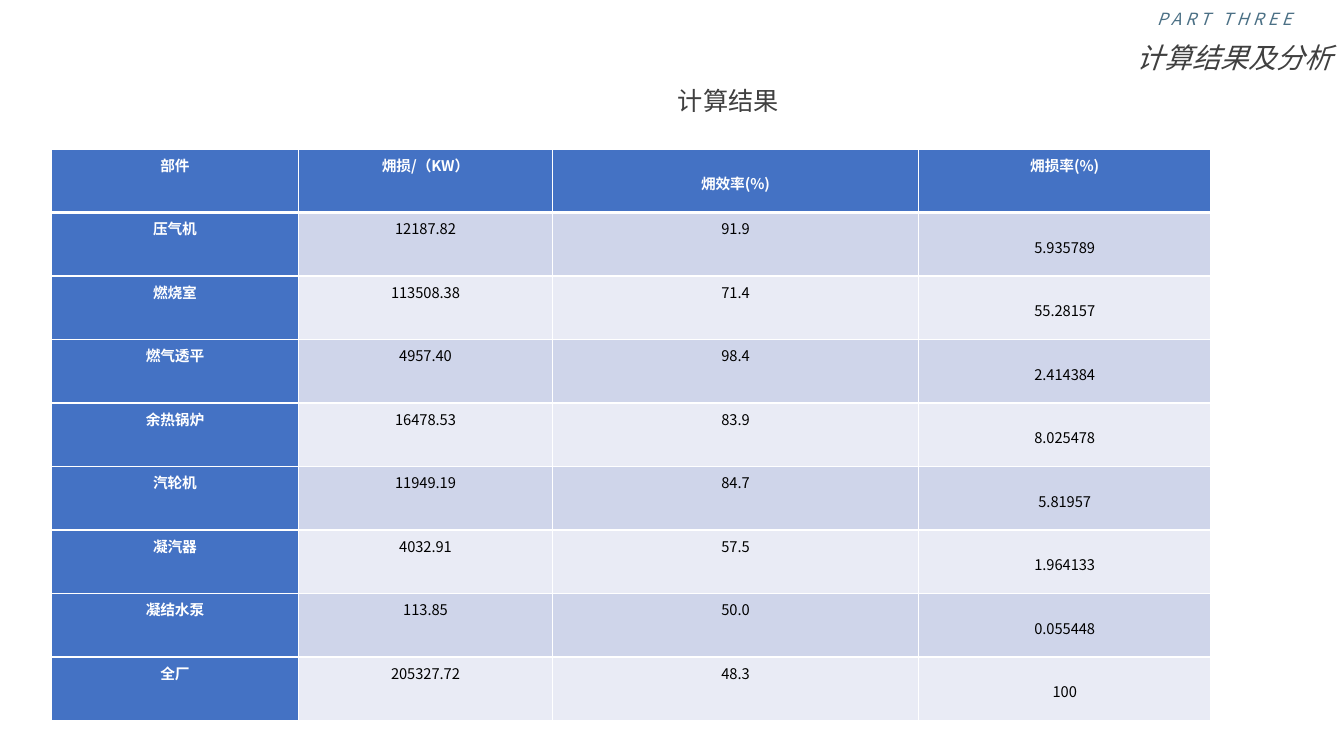
"""Build the slide of exergy calculation results."""
from lxml.etree import SubElement
from pptx import Presentation
from pptx.dml.color import RGBColor
from pptx.enum.text import MSO_ANCHOR as Anchor, MSO_AUTO_SIZE as AutoSize, PP_ALIGN as Align
from pptx.oxml.ns import qn
from pptx.util import Inches, Pt

WIDTH, HEIGHT = Inches(13.33), Inches(7.5)
FONT = "Noto Sans CJK SC"
COLORS = {
    "heading": "404040",
    "part": "4B7085",
    "white": "FFFFFF",
    "black": "000000",
    "header": "4472C4",
    "odd_row": "CFD5EA",
    "even_row": "E9EBF5",
}
COLUMN_INCHES = (2.45, 2.52, 3.63, 2.9)
ROW_INCHES = 0.63
RESULTS = (
    ("部件", "㶲损/（KW）", "㶲效率(%)", "㶲损率(%)"),
    ("压气机", "12187.82", "91.9", "5.935789"),
    ("燃烧室", "113508.38", "71.4", "55.28157"),
    ("燃气透平", "4957.40", "98.4", "2.414384"),
    ("余热锅炉", "16478.53", "83.9", "8.025478"),
    ("汽轮机", "11949.19", "84.7", "5.81957"),
    ("凝汽器", "4032.91", "57.5", "1.964133"),
    ("凝结水泵", "113.85", "50.0", "0.055448"),
    ("全厂", "205327.72", "48.3", "100"),
)


def color(name):
    """Return the named colour."""
    return RGBColor.from_string(COLORS[name])


def write(text_frame, text, size, color_name, bold=False, italic=False, line_spacing=None, tracking=0):
    """Write one centred paragraph in the slide's font."""
    text_frame.text = text
    paragraph = text_frame.paragraphs[0]
    paragraph.alignment = Align.CENTER
    paragraph.line_spacing = line_spacing
    font = paragraph.font
    font.name, font.size = FONT, Pt(size)
    font.bold, font.italic = bold, italic
    font.color.rgb = color(color_name)
    SubElement(font._element, qn("a:ea")).set("typeface", FONT)
    if tracking:
        font._element.set("spc", str(tracking * 100))


def place(shape, left, top, width, height):
    """Place a text shape by shares of the slide's size."""
    shape.left, shape.top = int(WIDTH * left), int(HEIGHT * top)
    shape.width, shape.height = int(WIDTH * width), int(HEIGHT * height)
    text_frame = shape.text_frame
    text_frame.word_wrap = True
    text_frame.auto_size = AutoSize.NONE
    text_frame.vertical_anchor = Anchor.TOP
    return text_frame


def add_label(slide, area, text, size, color_name, **style):
    """Add a text box on the given area."""
    text_frame = place(slide.shapes.add_textbox(0, 0, 0, 0), *area)
    write(text_frame, text, size, color_name, **style)


def add_borders(cell, widths):
    """Draw white borders of the given point widths by side."""
    properties = cell._tc.get_or_add_tcPr()
    for side, points in widths.items():
        line = SubElement(properties, qn(f"a:ln{side}"), w=str(Pt(points)))
        fill = SubElement(line, qn("a:solidFill"))
        SubElement(fill, qn("a:srgbClr"), val=COLORS["white"])


def format_cell(cell, text, row, column):
    """Fill one table cell by its place in the grid."""
    is_heading = row == 0 or column == 0
    cell.margin_left = cell.margin_right = Inches(0.07)
    cell.margin_top = cell.margin_bottom = 0
    is_middle = column == (2 if row == 0 else 3)
    cell.vertical_anchor = Anchor.MIDDLE if is_middle else Anchor.TOP
    add_borders(cell, {"L": 1, "R": 1, "T": 3 if row == 1 else 1, "B": 3 if row == 0 else 1})
    cell.fill.solid()
    band = "odd_row" if row % 2 else "even_row"
    cell.fill.fore_color.rgb = color("header" if is_heading else band)
    write(cell.text_frame, text, 10.5, "white" if is_heading else "black",
          bold=is_heading, line_spacing=1.25)


def add_results_table(slide, left, top):
    """Add the results table at shares of the slide's size."""
    frame = slide.shapes.add_table(
        len(RESULTS), len(COLUMN_INCHES), int(WIDTH * left), int(HEIGHT * top),
        Inches(sum(COLUMN_INCHES)), Inches(ROW_INCHES * len(RESULTS)))
    table = frame.table
    table.first_col = True
    for column, inches in zip(table.columns, COLUMN_INCHES):
        column.width = Inches(inches)
    for row, values in enumerate(RESULTS):
        table.rows[row].height = Inches(ROW_INCHES)
        for column, text in enumerate(values):
            format_cell(table.cell(row, column), text, row, column)


def main():
    """Build and save the presentation."""
    presentation = Presentation()
    presentation.slide_width, presentation.slide_height = WIDTH, HEIGHT
    slide = presentation.slides.add_slide(presentation.slide_layouts[5])
    title_frame = place(slide.shapes.title, 0.8365, 0.047, 0.1643, 0.059)
    write(title_frame, "计算结果及分析", 20, "heading", italic=True)
    add_label(slide, (0.253, 0.095, 0.578, 0.061), "计算结果", 18, "heading", line_spacing=Pt(28))
    add_results_table(slide, 0.0383, 0.197)
    add_label(slide, (0.841, 0.005, 0.14, 0.04), "PART THREE", 12, "part", italic=True, tracking=3)
    presentation.save("out.pptx")


if __name__ == "__main__":
    main()
